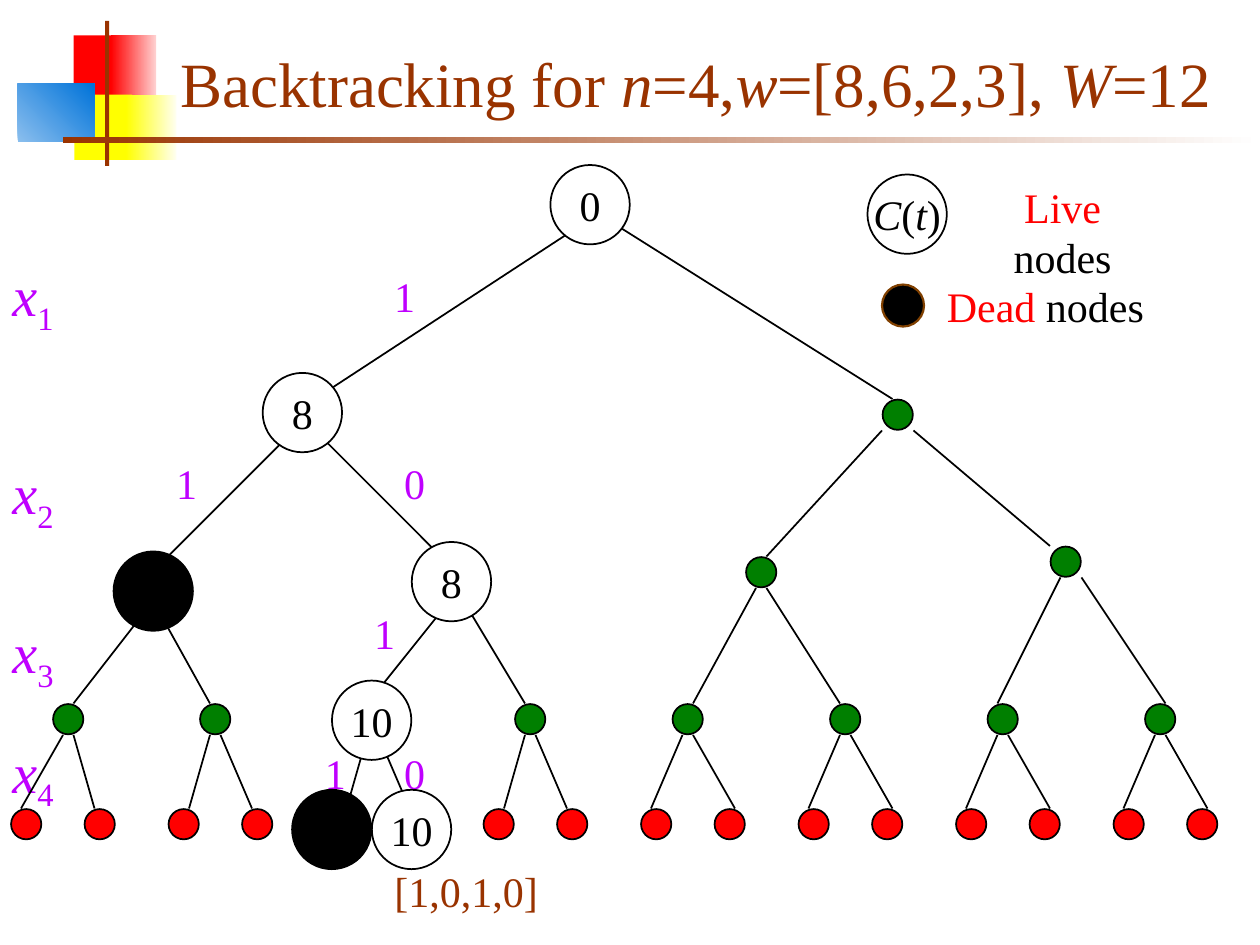
import pptx
import pptx.dml.color
import pptx.enum.shapes
import pptx.enum.text
import pptx.util
import lxml.etree

presentation = pptx.Presentation()
presentation.slide_width = pptx.util.Inches(10)
presentation.slide_height = pptx.util.Inches(7.5)
slide = presentation.slides.add_slide(presentation.slide_layouts[6])

# Every length below counts cells of a grid of 120 columns by 90 rows.
CELL = presentation.slide_width // 120
color = pptx.dml.color.RGBColor.from_string
kinds = pptx.enum.shapes.MSO_SHAPE
anchors = pptx.enum.text.MSO_ANCHOR
BROWN, PURPLE, RED, GREEN = "993300", "BF00FF", "FF0000", "007F00"
BLACK, WHITE = "000000", "FFFFFF"
SMALL, LARGE = 2.88, 7.56


def draw_shape(kind, left, top, width, height, fills, line=None, line_width=1):
    """Add a shape with one fill colour, or with a gradient from two."""
    shape = slide.shapes.add_shape(
        kind, *(round(length * CELL) for length in (left, top, width, height)))
    shape.shadow.inherit = False
    if len(fills) == 1:
        shape.fill.solid()
        shape.fill.fore_color.rgb = color(fills[0])
    else:
        shape.fill.gradient()
        shape.fill.gradient_angle = 0
        for stop, fill in zip(shape.fill.gradient_stops, fills):
            stop.color.rgb = color(fill)
    if line:
        shape.line.color.rgb = color(line)
        shape.line.width = pptx.util.Pt(line_width)
    else:
        shape.line.fill.background()
    return shape


def write_runs(shape, runs, size=24, centered=False, wrap=True, anchor=anchors.TOP):
    """Write (text, colour, style) runs; style is "", "italic" or "subscript"."""
    frame = shape.text_frame
    frame.word_wrap = wrap
    frame.vertical_anchor = anchor
    paragraph = frame.paragraphs[0]
    alignment = pptx.enum.text.PP_ALIGN
    paragraph.alignment = alignment.CENTER if centered else alignment.LEFT
    for text, run_color, style in runs:
        run = paragraph.add_run()
        run.text = text
        run.font.name = "Times New Roman"
        run.font.size = pptx.util.Pt(size)
        run.font.color.rgb = color(run_color)
        run.font.italic = style == "italic"
        if style == "subscript":
            run._r.get_or_add_rPr().set("baseline", "-25000")


# Corner ornament and title rule
ornament = [
    (7, 3.36, 4.2, 6.24, [RED]),
    (10.56, 3.36, 4.32, 6.24, [RED, "FFD1D1"]),
    (7.08, 9, 5.52, 6.24, ["FFFF00"]),
    (12, 9, 4.8, 6.24, ["FFFF00", "FFFFF0"]),
    (1.68, 8, 7.32, 5.52, ["8BBFEE", "0073D9"]),
    (10, 2, 0.4, 13.8, [BROWN]),
    (6, 13, 114, 0.6, [BROWN, WHITE]),
]
for left, top, width, height, fills in ornament:
    block = draw_shape(kinds.RECTANGLE, left, top, width, height, fills)
    if fills[0] == "8BBFEE":
        block.fill.gradient_angle = 45

# Title, level names, branch values, legend and solution
title_runs = [("Backtracking for ", BROWN, ""), ("n", BROWN, "italic"), ("=4,", BROWN, ""),
              ("w", BROWN, "italic"), ("=[8,6,2,3],", BROWN, ""),
              (" W", BROWN, "italic"), ("=12", BROWN, "")]
labels = [
    (16, 3, 102.24, 9.6, title_runs, dict(size=36, anchor=anchors.MIDDLE)),
    (91.2, 16.7, 20, 6, [("Live ", RED, ""), ("nodes", BLACK, "")],
     dict(centered=True, wrap=False)),
    (89, 26.16, 31, 6, [("Dead ", RED, ""), ("nodes", BLACK, "")], {}),
    (36.36, 81.84, 16.08, 6, [("[1,0,1,0]", BROWN, "")], dict(centered=True, wrap=False)),
]
for level, top in enumerate((24.24, 43.08, 58.2, 69.6), start=1):
    level_runs = [("x", PURPLE, "italic"), (str(level), PURPLE, "subscript")]
    labels.append((0, top, 14, 8.5, level_runs, dict(size=32)))
for value, left, top in [("1", 36.36, 25.2), ("1", 15.6, 43), ("0", 37.3, 43),
                         ("1", 34.44, 57.24), ("1", 29.76, 70.56), ("0", 37.3, 70.56)]:
    labels.append((left, top, 5.7, 6, [(value, PURPLE, "")], {}))
for left, top, width, height, runs, options in labels:
    box = slide.shapes.add_textbox(
        *(round(length * CELL) for length in (left, top, width, height)))
    write_runs(box, runs, **options)

# Branches: (upper row, lower row, [(upper column, lower column), ...])
branches = [
    (21, 38, [(56, 30), (58, 85)]),
    (41, 55, [(28, 14)]), (41, 54, [(30, 43)]),
    (41, 53, [(84, 73)]), (41, 52, [(87, 100)]),
    (58, 67, [(14, 7), (15, 20)]),
    (57, 67, [(43, 35), (44, 50)]),
    (56, 67, [(72, 66), (73, 80)]),
    (55, 67, [(101, 95), (103, 111)]),
    (70, 77, [(6, 2), (7, 9), (20, 18), (21, 24), (35, 33), (36, 39), (50, 48), (51, 54),
              (65, 62), (66, 70), (80, 77), (81, 85), (95, 92), (96, 100),
              (110, 107), (111, 115)]),
]
for upper_row, lower_row, columns in branches:
    for upper_column, lower_column in columns:
        branch = slide.shapes.add_connector(
            pptx.enum.shapes.MSO_CONNECTOR.STRAIGHT, upper_column * CELL, upper_row * CELL,
            lower_column * CELL, lower_row * CELL)
        branch.line.color.rgb = color(BLACK)
        branch.line.width = pptx.util.Pt(1)
        lxml.etree.SubElement(branch._element.spPr, pptx.oxml.ns.qn("a:effectLst"))

# Nodes: (centre column, centre row, diameter, fill, text runs)
nodes = [(85.5, 39.5, SMALL, GREEN, []), (72.5, 54.5, SMALL, GREEN, []),
         (101.5, 53.5, SMALL, GREEN, [])]
for column in (6.5, 20.5, 50.5, 65.5, 80.5, 95.5, 110.5):
    nodes.append((column, 68.5, SMALL, GREEN, []))
for pair in (0, 1, 3, 4, 5, 6, 7):
    for first_column in (2.5, 9.5):
        nodes.append((first_column + 15 * pair, 78.5, SMALL, RED, []))
for weight, column, row in [("0", 56.2, 19.5), ("8", 28.8, 39.3), ("8", 43, 55.4),
                            ("10", 35.4, 68.6), ("10", 39.2, 79)]:
    nodes.append((column, row, LARGE, WHITE, [(weight, BLACK, "")]))
nodes += [
    (14.6, 56.3, LARGE, BLACK, []),
    (31.6, 79, LARGE, BLACK, []),
    (86.4, 20.4, LARGE, WHITE, [("C", BLACK, "italic"), ("(", BLACK, ""),
                                ("t", BLACK, "italic"), (")", BLACK, "")]),
]
for column, row, diameter, fill, runs in nodes:
    node = draw_shape(kinds.OVAL, column - diameter / 2, row - diameter / 2,
                      diameter, diameter, [fill], BLACK)
    if runs:
        write_runs(node, runs, centered=True, wrap=False, anchor=anchors.MIDDLE)
draw_shape(kinds.OVAL, 84, 27.1, 4, 4, [BLACK], "804000", 1.25)

presentation.save("out.pptx")
